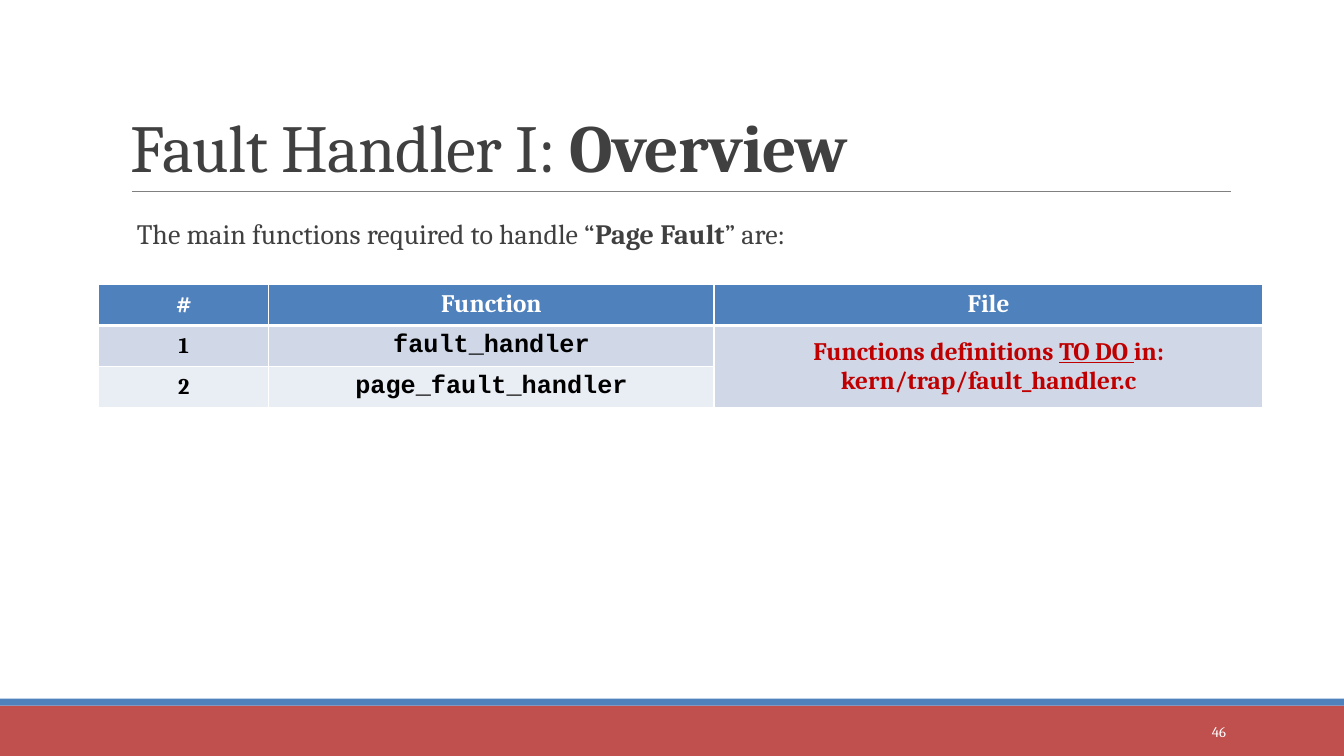
from pptx import Presentation
from pptx.dml.color import RGBColor
from pptx.enum.shapes import MSO_CONNECTOR, MSO_SHAPE
from pptx.enum.text import MSO_ANCHOR, PP_ALIGN
from pptx.oxml.ns import qn
from pptx.util import Pt
from lxml.etree import SubElement

COLORS = {"red": "C0504D", "blue": "4F81BD", "gray": "808080", "text": "404040",
          "white": "FFFFFF", "black": "000000", "alert": "C00000",
          "band 1": "D0D8E8", "band 2": "E9EDF4"}


def rgb(name):
    return RGBColor.from_string(COLORS[name])


def write(para, spans, size, color, font="Cambria"):
    """Add (text, style) spans; style is "", "b" or "bu"."""
    for text, style in spans:
        span = para.add_run()
        span.text = text
        span.font.name = font
        span.font.size = Pt(size)
        span.font.color.rgb = rgb(color)
        span.font.bold = "b" in style
        span.font.underline = "u" in style


deck = Presentation()
deck.slide_width, deck.slide_height = Pt(960), Pt(540)
page = deck.slides.add_slide(deck.slide_layouts[6])

# Footer bands
for top, height, color in [(504, 36, "red"), (499, 5, "blue")]:
    band = page.shapes.add_shape(MSO_SHAPE.RECTANGLE, 0, Pt(top), Pt(960), Pt(height))
    band.shadow.inherit = False
    band.fill.solid()
    band.fill.fore_color.rgb = rgb(color)
    band.line.fill.background()

# Rule under the title
rule = page.shapes.add_connector(MSO_CONNECTOR.STRAIGHT, Pt(94.3), Pt(136.6), Pt(879), Pt(136.6))
rule.line.color.rgb = rgb("gray")
rule.line.width = Pt(0.5)
SubElement(rule.element.spPr, qn("a:effectLst"))

# Title, introduction and page number
texts = [
    ((86.4, 22.3, 873.4, 114.5), MSO_ANCHOR.BOTTOM, PP_ALIGN.LEFT, 0.85, 48, "text",
     [("Fault Handler I: ", ""), ("Overview", "b")]),
    ((90.7, 154.1, 792, 316.8), MSO_ANCHOR.TOP, PP_ALIGN.LEFT, 0.9, 20, "text",
     [("The main functions required to handle “", ""), ("Page Fault", "b"), ("” are:", "")]),
    ((779.8, 508.3, 103, 28.8), MSO_ANCHOR.MIDDLE, PP_ALIGN.RIGHT, 1, 10.5, "white",
     [("46", "")]),
]
for place, anchor, align, spacing, size, color, spans in texts:
    box = page.shapes.add_textbox(*map(Pt, place))
    frame = box.text_frame
    frame.word_wrap = True
    frame.vertical_anchor = anchor
    para = frame.paragraphs[0]
    para.alignment = align
    para.line_spacing = spacing
    write(para, spans, size, color)
    if size == 48:
        for span in para.runs:
            span.font._element.set("spc", "-50")

# Function table
rows = [
    ["#", "Function", "File"],
    ["1", "fault_handler", ""],
    ["2", "page_fault_handler", ""],
]
widths = [121.4, 318.1, 392.1]
table = page.shapes.add_table(3, 3, Pt(70.6), Pt(203.2), Pt(sum(widths)), Pt(87.9)).table
for column, width in zip(table.columns, widths):
    column.width = Pt(width)

for r, labels in enumerate(rows):
    table.rows[r].height = Pt(29.3)
    for c, label in enumerate(labels):
        cell = table.cell(r, c)
        # Borders come before the fill
        for side in ("lnL", "lnR", "lnT", "lnB"):
            thick = (r, side) in [(0, "lnB"), (1, "lnT")]
            edge = SubElement(cell._tc.get_or_add_tcPr(), qn(f"a:{side}"), w=str(Pt(3 if thick else 1)))
            SubElement(SubElement(edge, qn("a:solidFill")), qn("a:srgbClr"), val=COLORS["white"])
        cell.fill.solid()
        cell.fill.fore_color.rgb = rgb(["blue", "band 1", "band 2"][r])
        cell.vertical_anchor = MSO_ANCHOR.MIDDLE if r else MSO_ANCHOR.TOP
        para = cell.text_frame.paragraphs[0]
        para.alignment = PP_ALIGN.CENTER
        if label:
            write(para, [(label, "b")], 16 if r and c == 0 else 18,
                  "black" if r else "white", "Courier New" if r and c == 1 else "Cambria")

# File cell spans both function rows
file_cell = table.cell(1, 2)
file_cell.merge(table.cell(2, 2))
write(file_cell.text_frame.paragraphs[0],
      [("Functions definitions ", "b"), ("TO DO ", "bu"), ("in: kern/trap/fault_handler.c", "b")],
      18, "alert")

deck.save("out.pptx")
